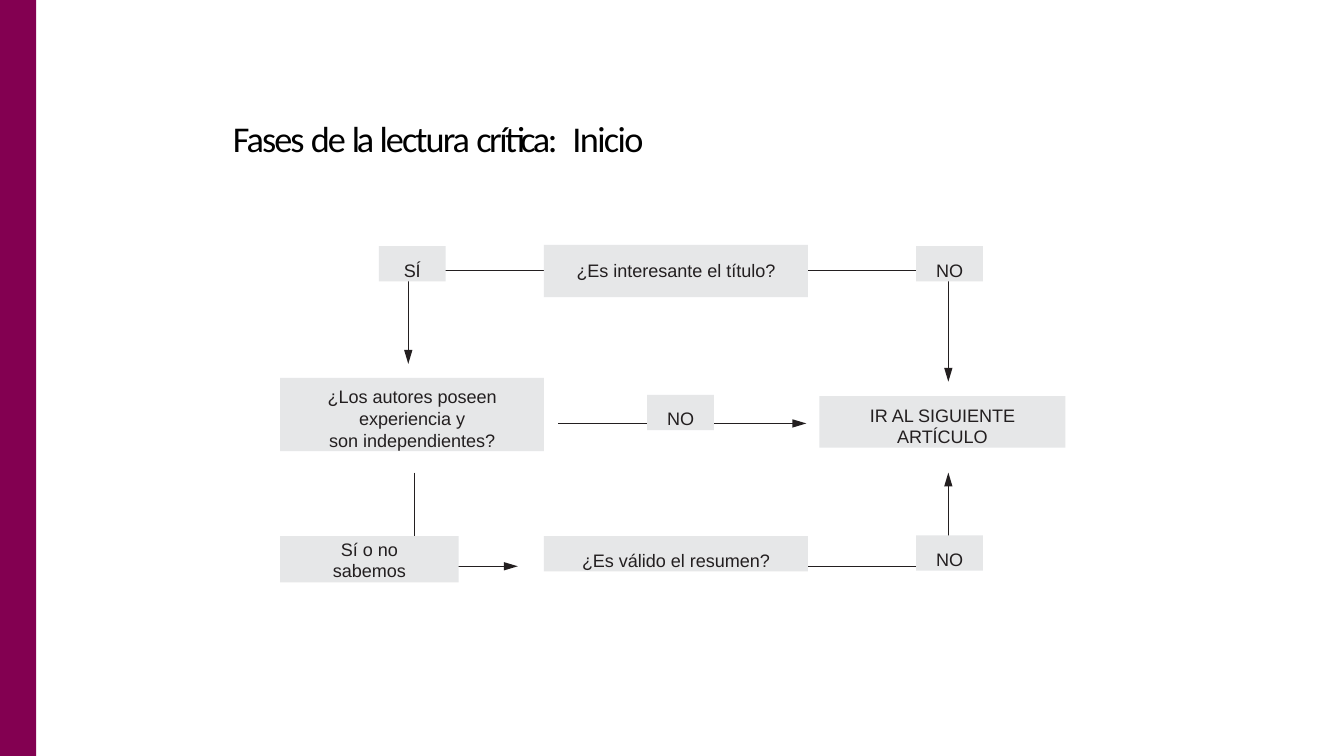
from dataclasses import dataclass

from lxml import etree
from pptx import Presentation
from pptx.dml.color import RGBColor
from pptx.enum.shapes import MSO_CONNECTOR, MSO_SHAPE
from pptx.enum.text import MSO_ANCHOR, PP_ALIGN
from pptx.oxml.ns import qn
from pptx.util import Cm, Pt

STRAIGHT = MSO_CONNECTOR.STRAIGHT
RECTANGLE = MSO_SHAPE.RECTANGLE
TOP, MIDDLE = MSO_ANCHOR.TOP, MSO_ANCHOR.MIDDLE
LEFT, CENTER = PP_ALIGN.LEFT, PP_ALIGN.CENTER


@dataclass(frozen=True)
class Theme:
    band: RGBColor = RGBColor(0x83, 0x00, 0x51)
    step: RGBColor = RGBColor(0xE6, 0xE7, 0xE8)
    ink: RGBColor = RGBColor(0x23, 0x1F, 0x20)
    heading: RGBColor = RGBColor(0, 0, 0)
    heading_font: str = "Calibri"
    step_font: str = "Arial"
    heading_size: Pt = Pt(25.9)
    step_size: Pt = Pt(12.9)
    line_width: Pt = Pt(1)


THEME = Theme()

# Title words with their letter spacing in hundredths of a point
HEADING = [("Fases ", -140), ("de ", -160), ("la ", -220), ("lectura ", -140),
           ("crítica:", -180), (" ", 480), ("Inicio", -120)]

# Sizes in cm, places relative to the flowchart's corner
QUESTION_WIDTH = 6.65
ANSWER_WIDTH, ANSWER_HEIGHT = 1.68, 0.89
ANSWER_INSET = 0.33
WRAP_INSET = 0.76
RIGHT_ANSWER_X = 16.03
YES_X, NO_X = 3.23, 16.84
FIRST_Y, SECOND_Y, THIRD_Y = 0.64, 4.5, 8.1
RESUME_Y = 5.74
QUESTION_END = 2 * QUESTION_WIDTH

# Lines, left, top, width, height, top inset, side inset
STEPS = [
    (["¿Es interesante el título?"], QUESTION_WIDTH, 0, QUESTION_WIDTH, 1.32, 0.36, 0),
    (["¿Los autores poseen experiencia y", "son independientes?"],
     0, 3.35, QUESTION_WIDTH, 1.85, 0.2, WRAP_INSET),
    (["IR AL SIGUIENTE ARTÍCULO"], 13.59, 3.81, 6.2, 1.3, 0.2, WRAP_INSET),
    (["Sí o no sabemos"], 0, 7.34, 4.5, 1.17, 0.05, WRAP_INSET),
    (["¿Es válido el resumen?"], QUESTION_WIDTH, 7.34, QUESTION_WIDTH,
     ANSWER_HEIGHT, ANSWER_INSET, 0),
]
ANSWERS = [("SÍ", 2.49, 0.03), ("NO", RIGHT_ANSWER_X, 0.03),
           ("NO", 9.25, 3.78), ("NO", RIGHT_ANSWER_X, 7.32)]

ELBOWS = [
    [(6.78, FIRST_Y), (YES_X, FIRST_Y), (YES_X, 3)],
    [(QUESTION_END, FIRST_Y), (NO_X, FIRST_Y), (NO_X, 3.45)],
    [(3.38, RESUME_Y), (3.38, THIRD_Y), (5.99, THIRD_Y)],
    [(QUESTION_END, THIRD_Y), (NO_X, THIRD_Y), (NO_X, RESUME_Y)],
]


def add_band(slide, left, top, width, height):
    band = slide.shapes.add_shape(RECTANGLE, left, top, width, height)
    band.shadow.inherit = False
    band.fill.solid()
    band.fill.fore_color.rgb = THEME.band
    band.line.fill.background()


def add_heading(slide, left, top, width, height):
    title = slide.shapes.title
    title.left, title.top, title.width, title.height = left, top, width, height
    frame = title.text_frame
    frame.margin_left = Cm(0.05)
    frame.margin_right = frame.margin_top = frame.margin_bottom = 0
    frame.vertical_anchor = MIDDLE
    words = frame.paragraphs[0]
    words.alignment = LEFT
    for text, spacing in HEADING:
        word = words.add_run()
        word.text = text
        word.font.name = THEME.heading_font
        word.font.size = THEME.heading_size
        word.font.color.rgb = THEME.heading
        word.font._element.set("spc", str(spacing))


def add_step(slide, lines, left, top, width, height, top_inset, side_inset):
    step = slide.shapes.add_shape(RECTANGLE, left, top, width, height)
    step.shadow.inherit = False
    step.fill.solid()
    step.fill.fore_color.rgb = THEME.step
    step.line.fill.background()
    frame = step.text_frame
    frame.word_wrap = True
    frame.vertical_anchor = TOP
    frame.margin_left = frame.margin_right = side_inset
    frame.margin_top, frame.margin_bottom = top_inset, 0
    frame.text = "\n".join(lines)
    for line in frame.paragraphs:
        line.alignment = CENTER
        line.font.name = THEME.step_font
        line.font.size = THEME.step_size
        line.font.color.rgb = THEME.ink


def ink_line(line, arrow):
    line.color.rgb = THEME.ink
    line.width = THEME.line_width
    if arrow:
        etree.SubElement(line._get_or_add_ln(), qn("a:tailEnd"),
                         type="triangle", w="med", len="lg")


def add_elbow(slide, points):
    start, *others = points
    builder = slide.shapes.build_freeform(*start)
    builder.add_line_segments(others, close=False)
    elbow = builder.convert_to_shape()
    elbow.shadow.inherit = False
    elbow.fill.background()
    ink_line(elbow.line, arrow=True)


def add_straight(slide, start, end, arrow):
    straight = slide.shapes.add_connector(STRAIGHT, *start, *end)
    ink_line(straight.line, arrow)
    etree.SubElement(straight._element.spPr, qn("a:effectLst"))


def add_flowchart(slide, left, top):
    def at(x, y):
        return left + Cm(x), top + Cm(y)

    for points in ELBOWS:
        add_elbow(slide, [at(x, y) for x, y in points])
    add_straight(slide, at(7.01, SECOND_Y), at(9.25, SECOND_Y), arrow=False)
    add_straight(slide, at(10.93, SECOND_Y), at(13.26, SECOND_Y), arrow=True)
    answers = [([text], x, y, ANSWER_WIDTH, ANSWER_HEIGHT, ANSWER_INSET, 0)
               for text, x, y in ANSWERS]
    for lines, x, y, *sizes in STEPS + answers:
        add_step(slide, lines, *at(x, y), *map(Cm, sizes))


def main():
    deck = Presentation()
    deck.slide_width, deck.slide_height = Cm(33.87), Cm(19.05)
    slide = deck.slides.add_slide(deck.slide_layouts[5])
    add_band(slide, 0, 0, Cm(0.91), deck.slide_height)
    add_heading(slide, Cm(5.82), Cm(2.92), Cm(11.84), Cm(1.14))
    add_flowchart(slide, Cm(7.06), Cm(6.17))
    deck.save("out.pptx")


if __name__ == "__main__":
    main()
